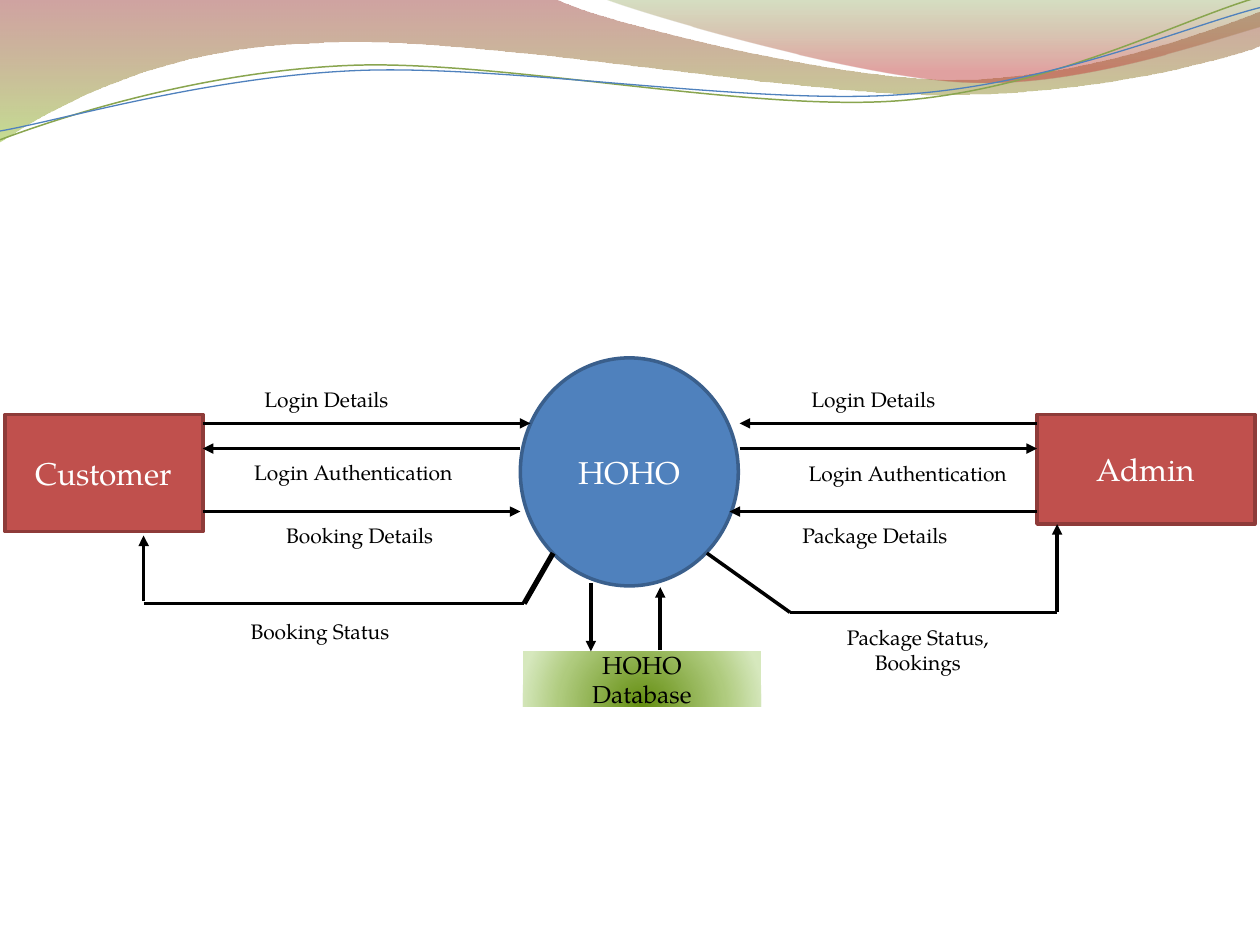
from math import cos, radians, sin

from lxml.etree import SubElement
from pptx import Presentation
from pptx.dml.color import RGBColor
from pptx.enum.shapes import MSO_CONNECTOR, MSO_SHAPE
from pptx.enum.text import MSO_ANCHOR, PP_ALIGN
from pptx.oxml.ns import qn
from pptx.util import Inches, Pt

FONT = "TeX Gyre Pagella"
BLACK, WHITE = "000000", "FFFFFF"
LEFT, CENTER = PP_ALIGN.LEFT, PP_ALIGN.CENTER
RECT, OVAL = MSO_SHAPE.RECTANGLE, MSO_SHAPE.OVAL

# Header waves: frame, rotation, fill stops (position, colour, opacity), line, path
WAVES = [
    ((-0.01, -0.01, 10.02, 1.14), 0, [(0, "973330", 45), (100, "95C238", 55)], None,
     [("M", 0, 0), ("L", 4.4, -0.01),
      ("C", 4.76, 0.17, 6.64, 0.63, 7.58, 0.63), ("C", 8.53, 0.63, 9.58, 0.26, 10, 0.09),
      ("L", 10.01, 0.36),
      ("C", 9.83, 0.44, 8.7, 0.76, 7.46, 0.75), ("C", 6.22, 0.75, 3.82, 0.28, 2.57, 0.34),
      ("C", 1.29, 0.36, 0.46, 0.83, -0.01, 1.13), ("L", 0, 0), ("Z",)]),
    ((4.79, -0.01, 5.21, 0.7), 0, [(0, "769537", 30), (80, "BE3330", 45)], None,
     [("M", 4.79, -0.01), ("C", 5.09, 0.11, 6.82, 0.62, 7.69, 0.65),
      ("C", 8.56, 0.69, 9.61, 0.32, 10, 0.21), ("L", 10, 0), ("L", 4.79, -0.01), ("Z",)]),
    ((-0.02, 0.22, 10.02, 0.71), 357.3, None, ("89A54F", 0.85),
     [("M", 0, 1.11), ("C", 0.48, 0.93, 1.58, 0.57, 2.77, 0.52),
      ("C", 3.95, 0.47, 5.93, 0.89, 7.13, 0.8), ("C", 8.33, 0.71, 9.38, 0.15, 9.98, -0.02)]),
    ((-0.02, 0.3, 10.03, 0.58), 357.3, None, ("4F81BD", 0.75),
     [("M", 0, 1.04), ("C", 0.47, 0.96, 1.64, 0.61, 2.83, 0.56),
      ("C", 4.03, 0.51, 5.97, 0.84, 7.17, 0.75), ("C", 8.36, 0.67, 9.41, 0.21, 10, 0.06)]),
]

# Nodes: lines of text, preset, frame, fill, outline, text size, text colour
DATABASE_STOPS = [(0, "638D0F", 100), (68, "AFCB7E", 100), (100, "D6E8BD", 100)]
NODES = [
    (["HOHO"], OVAL, (4.13, 2.84, 1.73, 1.81), "4F81BD", "3A5F8C", 18, WHITE),
    (["Customer"], RECT, (0.04, 3.29, 1.57, 0.93), "C0504D", "8E3B39", 18, WHITE),
    (["Admin"], RECT, (8.23, 3.29, 1.73, 0.87), "C0504D", "8E3B39", 18, WHITE),
    (["HOHO", "Database"], RECT, (4.15, 5.17, 1.89, 0.44), DATABASE_STOPS, None, 14, BLACK),
]

# Edges and rows shared by the flows
CUSTOMER_EDGE, ADMIN_EDGE = 1.61, 8.23
HUB_LEFT, HUB_RIGHT = 4.13, 5.87
LOGIN_ROW, REPLY_ROW, DETAIL_ROW = 3.36, 3.56, 4.06
CUSTOMER_TURN, ADMIN_TURN = (4.16, 4.79), (6.27, 4.86)

# Flows: start, end, arrow at the end, line width
FLOWS = [
    ((CUSTOMER_EDGE, LOGIN_ROW), (4.21, LOGIN_ROW), True, 2),
    ((ADMIN_EDGE, LOGIN_ROW), (HUB_RIGHT, LOGIN_ROW), True, 2),
    ((HUB_LEFT, REPLY_ROW), (CUSTOMER_EDGE, REPLY_ROW), True, 2),
    ((HUB_RIGHT, REPLY_ROW), (ADMIN_EDGE, REPLY_ROW), True, 2),
    ((CUSTOMER_EDGE, DETAIL_ROW), (HUB_LEFT, DETAIL_ROW), True, 2),
    ((ADMIN_EDGE, DETAIL_ROW), (5.79, DETAIL_ROW), True, 2),
    ((1.14, 4.79), CUSTOMER_TURN, False, 2),
    ((1.14, 4.77), (1.14, 4.25), True, 2),
    ((4.39, 4.39), CUSTOMER_TURN, False, 3),
    (ADMIN_TURN, (8.39, 4.86), False, 2),
    ((8.39, 4.86), (8.39, 4.16), True, 2),
    (ADMIN_TURN, (5.61, 4.39), False, 2),
    ((4.69, 4.63), (4.69, 5.17), True, 2),
    ((5.24, 5.16), (5.24, 4.66), True, 2),
]

LABELS = [
    ("Login Details", (2, 3.02, 2.28, 0.3), LEFT),
    ("Login Details", (6.34, 3.02, 2.28, 0.3), LEFT),
    ("Login Authentication", (1.86, 3.6, 1.89, 0.3), CENTER),
    ("Login Authentication", (6.18, 3.61, 2.05, 0.3), CENTER),
    ("Booking Details", (1.99, 4.1, 1.73, 0.3), CENTER),
    ("Package Details", (6.27, 4.1, 1.57, 0.3), LEFT),
    ("Booking Status", (1.89, 4.86, 2.07, 0.3), LEFT),
    ("Package Status, Bookings", (6.38, 4.91, 1.81, 0.5), CENTER),
]


def color(value):
    return RGBColor.from_string(value)


def inches(values):
    return [Inches(value) for value in values]


def fill_gradient(shape, stops, radial=False):
    shape.fill.gradient()
    gradient = shape._element.spPr.find(qn("a:gradFill"))
    for child in list(gradient):
        gradient.remove(child)
    stop_list = SubElement(gradient, qn("a:gsLst"))
    for position, value, opacity in stops:
        stop = SubElement(stop_list, qn("a:gs"), pos=str(position * 1000))
        tint = SubElement(stop, qn("a:srgbClr"), val=value)
        SubElement(tint, qn("a:alpha"), val=str(opacity * 1000))
    if radial:
        focus = SubElement(gradient, qn("a:path"), path="circle")
        SubElement(focus, qn("a:fillToRect"), l="50000", t="130000", r="50000", b="-30000")
    else:
        SubElement(gradient, qn("a:lin"), ang="5400000", scaled="0")


def set_outline(shape, value, width):
    if value is None:
        shape.line.fill.background()
    else:
        shape.line.color.rgb = color(value)
        shape.line.width = Pt(width)


def write_text(frame, lines, size, value, align):
    frame.word_wrap = True
    for index, text in enumerate(lines):
        paragraph = frame.add_paragraph() if index else frame.paragraphs[0]
        paragraph.alignment = align
        run = paragraph.add_run()
        run.text = text
        run.font.name, run.font.size = FONT, Pt(size)
        run.font.color.rgb = color(value)


def add_wave(slide, frame, rotation, stops, line, steps):
    left, top, width, height = frame
    builder = slide.shapes.build_freeform(*inches((left, top)))
    builder.add_line_segments([inches((left + width, top)),
                               inches((left + width, top + height))])
    shape = builder.convert_to_shape()
    shape.shadow.inherit = False
    shape.rotation = rotation
    # Curves need their own path; points are turned back into the unrotated frame
    path = next(shape._element.iter(qn("a:path")))
    for child in list(path):
        path.remove(child)
    cosine, sine = cos(radians(rotation)), sin(radians(rotation))
    tags = {"M": "a:moveTo", "L": "a:lnTo", "C": "a:cubicBezTo", "Z": "a:close"}
    for command, *values in steps:
        step = SubElement(path, qn(tags[command]))
        for x, y in zip(values[::2], values[1::2]):
            across, down = x - left - width / 2, y - top - height / 2
            local_x = across * cosine + down * sine + width / 2
            local_y = down * cosine - across * sine + height / 2
            SubElement(step, qn("a:pt"), x=str(Inches(local_x)), y=str(Inches(local_y)))
    if stops:
        fill_gradient(shape, stops)
    else:
        shape.fill.background()
    set_outline(shape, *(line or (None, 0)))


def add_node(slide, lines, preset, frame, fill, outline, size, text_color):
    shape = slide.shapes.add_shape(preset, *inches(frame))
    shape.shadow.inherit = False
    if isinstance(fill, list):
        fill_gradient(shape, fill, radial=True)
    else:
        shape.fill.solid()
        shape.fill.fore_color.rgb = color(fill)
    set_outline(shape, outline, 2)
    shape.text_frame.vertical_anchor = MSO_ANCHOR.MIDDLE
    write_text(shape.text_frame, lines, size, text_color, CENTER)


def add_flow(slide, start, end, arrow, width):
    connector = slide.shapes.add_connector(MSO_CONNECTOR.STRAIGHT, *inches(start + end))
    set_outline(connector, BLACK, width)
    if arrow:
        SubElement(connector.line._get_or_add_ln(), qn("a:tailEnd"), type="triangle")
    SubElement(connector._element.spPr, qn("a:effectLst"))


def main():
    presentation = Presentation()
    presentation.slide_width, presentation.slide_height = inches((10, 7.5))
    slide = presentation.slides.add_slide(presentation.slide_layouts[6])
    for wave in WAVES:
        add_wave(slide, *wave)
    for node in NODES:
        add_node(slide, *node)
    for flow in FLOWS:
        add_flow(slide, *flow)
    for text, frame, align in LABELS:
        box = slide.shapes.add_textbox(*inches(frame))
        write_text(box.text_frame, [text], 12, BLACK, align)
    presentation.save("out.pptx")


if __name__ == "__main__":
    main()
